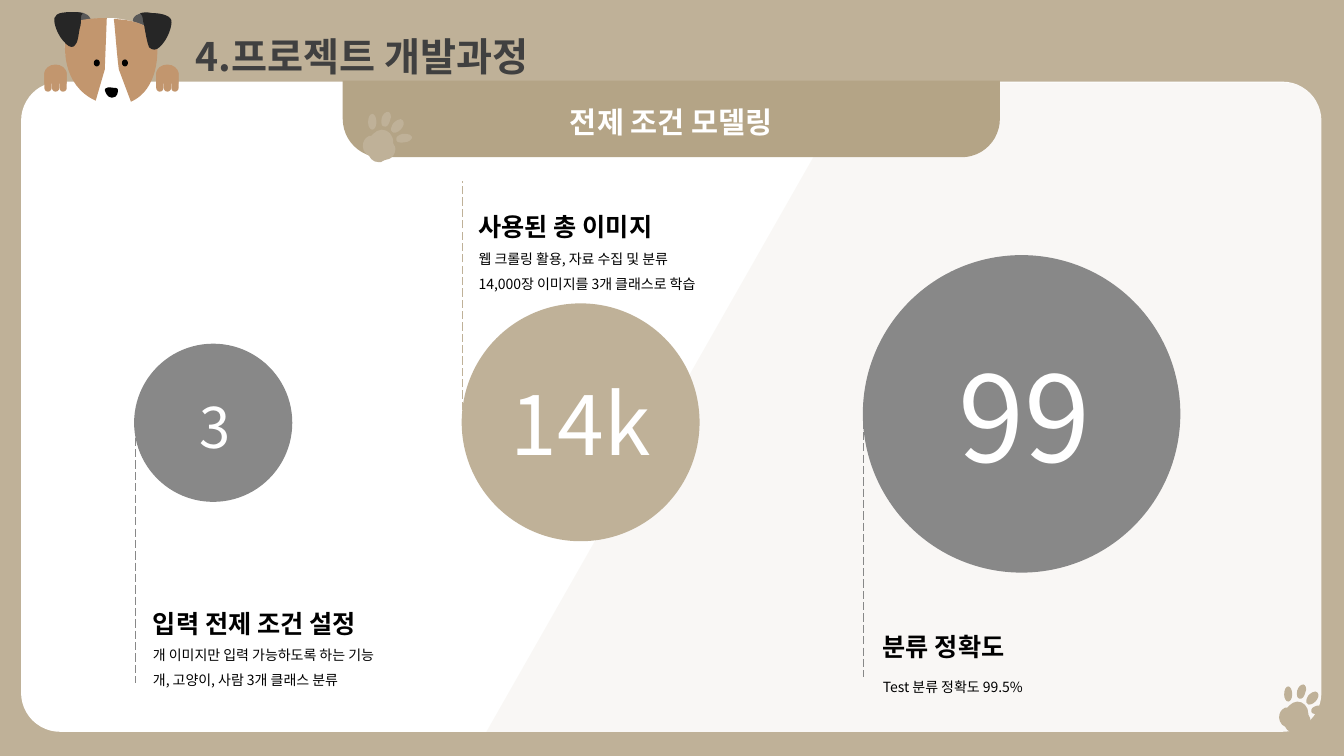
from lxml.etree import SubElement
from pptx import Presentation
from pptx.dml.color import RGBColor
from pptx.enum.dml import MSO_LINE
from pptx.enum.shapes import MSO_CONNECTOR, MSO_SHAPE
from pptx.enum.text import MSO_AUTO_SIZE, PP_ALIGN
from pptx.oxml.ns import qn
from pptx.util import Pt

FONT = "Noto Sans CJK KR"
COLORS = {
    "sand": "BFB198", "banner": "B4A486", "gray": "888888", "white": "FFFFFF",
    "black": "000000", "title": "404040", "fur": "C2966E", "ear": "262626",
    "inner_ear": "595959",
}
UNIT = 0.72  # points per outline unit

# Outlines: M = move, L = line, C = cubic curve; each part is closed
DIAGONAL = ("M 849 82 L 1274 82 C 1295 82 1312 99 1312 120 L 1312 688 "
            "C 1312 710 1295 727 1274 727 L 482 727")
PAW_PRINT = (
    "M 41 21 C 44 21 46 22 47 24 C 47 26 44 29 40 29 C 36 30 32 29 32 27 "
    "C 31 24 34 22 38 21 C 39 21 40 21 41 21 "
    "M 18 17 C 24 17 29 22 29 29 L 29 30 L 30 32 C 31 33 31 34 31 36 "
    "C 31 40 28 44 25 45 L 21 46 L 19 47 C 18 48 17 48 15 48 "
    "C 12 48 10 47 8 45 L 6 42 L 3 40 C 1 38 0 35 0 33 "
    "C 0 28 2 25 6 23 L 8 23 L 10 21 C 12 19 15 17 18 17 "
    "M 36 7 C 37 7 37 8 38 8 C 40 10 39 14 36 17 C 33 20 29 21 28 19 "
    "C 26 18 27 14 29 11 C 32 8 34 7 36 7 "
    "M 9 2 C 11 2 13 5 13 10 C 13 14 11 17 9 17 C 7 17 5 14 5 10 C 5 5 7 2 9 2 "
    "M 24 0 C 26 0 28 4 26 8 C 25 12 23 15 20 14 C 18 14 17 10 18 6 "
    "C 19 2 22 0 24 0")
DOG_PALM = ("M 11 0 C 17 0 22 4 22 9 C 22 12 22 15 22 18 L 22 19 L 0 19 "
            "L 0 9 C 0 4 5 0 11 0")
DOG_HEAD = [
    ("inner_ear", "M 167 20 C 166 14 154 13 148 13 C 143 13 135 12 132 19 "
     "C 130 27 143 44 146 47 C 148 50 153 50 155 47 C 164 39 168 25 167 20"),
    ("inner_ear", "M 57 18 C 58 13 69 12 74 12 C 80 12 87 12 90 19 "
     "C 92 26 81 42 78 45 C 76 47 72 47 69 45 C 60 36 56 23 57 18"),
    ("white", "M 65 34 C 66 20 97 18 112 18 C 127 19 152 25 155 38 "
     "C 159 51 145 88 135 98 C 124 107 97 103 90 96 C 64 73 63 47 65 34"),
    ("fur", "M 106 18 L 104 69 C 100 84 100 84 95 100 C 61 84 64 47 65 34 "
     "C 65 20 84 19 99 18 "
     "M 118 69 C 116 55 114 26 113 19 C 127 19 152 24 155 38 "
     "C 158 52 157 89 130 101"),
    ("black", "M 104 89 C 104 87 109 86 111 87 C 113 87 117 87 117 89 "
     "C 117 91 117 97 111 97 C 106 97 104 90 104 89"),
    ("ear", "M 54 18 C 55 12 66 12 71 12 C 76 12 78 12 82 13 "
     "C 79 17 81 19 80 25 C 78 30 78 41 75 44 C 73 48 69 47 66 44 "
     "C 57 36 53 23 54 18"),
    ("ear", "M 170 20 C 168 14 156 13 151 13 C 146 12 144 12 139 13 "
     "C 143 17 141 20 143 25 C 144 31 146 43 148 47 C 151 50 155 50 158 47 "
     "C 167 39 171 25 170 20"),
]

# Number, size, colour, circle (left, top, diameter), number box,
# guide (x, start, end), caption (left, top, height), lines, line spacing
METRICS = [
    ("99", 85, "gray", (616.3, 182.2, 226.8), (616.3, 238.3, 230.4, 117.4),
     (617, 292.3, 483.8), (623.5, 421.9, 70.6),
     ["분류 정확도", "Test 분류 정확도 99.5%"], 2),
    ("14k", 60, "sand", (329.8, 216.7, 169.9), (329.8, 258.5, 169.9, 87.1),
     (330.5, 301, 129.6), (334.8, 122.4, 88.6),
     ["사용된 총 이미지", "웹 크롤링 활용, 자료 수집 및 분류",
      "14,000장 이미지를 3개 클래스로 학습"], 1.5),
    ("3", 40, "gray", (95.8, 245.5, 113), (97.2, 272.9, 113, 63.4),
     (96.5, 304.6, 488.2), (102.2, 405.4, 88.6),
     ["입력 전제 조건 설정", "개 이미지만 입력 가능하도록 하는 기능",
      "개, 고양이, 사람 3개 클래스 분류"], 1.5),
]


def rgb(color):
    return RGBColor.from_string(COLORS[color])


def paint(shape, color):
    shape.shadow.inherit = False
    shape.fill.solid()
    shape.fill.fore_color.rgb = rgb(color)
    shape.line.fill.background()
    return shape


def add_preset(slide, kind, box, color, *adjustments):
    shape = slide.shapes.add_shape(kind, *map(Pt, box))
    for index, value in enumerate(adjustments):
        shape.adjustments[index] = value
    return paint(shape, color)


def bend_curves(shape, outline):
    """Merge the three segments of each C step into one cubic curve."""
    segments = iter(list(shape._element.iter(qn("a:lnTo"))))
    for command in outline.split():
        if command in ("L", "C"):
            segment = next(segments)
        if command == "C":
            segment.tag = qn("a:cubicBezTo")
            for _ in range(2):
                control = next(segments)
                segment.append(control[0])
                control.getparent().remove(control)


def add_outline(slide, outline, color, left=0, top=0, scale=1):
    parts = []
    for part in outline.split("M")[1:]:
        values = [Pt(float(word) * UNIT * scale) for word in part.split() if word not in "LC"]
        parts.append(list(zip(values[::2], values[1::2])))
    builder = slide.shapes.build_freeform(*parts[0][0], scale=1.0)
    for index, part in enumerate(parts):
        if index:
            builder.move_to(*part[0])
        builder.add_line_segments(part[1:], close=True)
    shape = builder.convert_to_shape(Pt(left), Pt(top))
    bend_curves(shape, outline)
    return paint(shape, color)


def add_text(slide, box, lines, sizes, color, bolds, align=PP_ALIGN.LEFT,
             spacings=(None,), inset=7.2, grow=False):
    frame = slide.shapes.add_textbox(*map(Pt, box)).text_frame
    frame.word_wrap = True
    frame.margin_left = frame.margin_right = Pt(7.2)
    frame.margin_top = frame.margin_bottom = Pt(inset)
    if grow:
        frame.auto_size = MSO_AUTO_SIZE.SHAPE_TO_FIT_TEXT
    frame.text = "\n".join(lines)
    for paragraph, size, bold, spacing in zip(frame.paragraphs, sizes, bolds, spacings):
        paragraph.alignment = align
        paragraph.line_spacing = spacing
        for run in paragraph.runs:
            run.font.size = Pt(size)
            run.font.bold = bold
            run.font.color.rgb = rgb(color)
            run.font.name = FONT
            SubElement(run._r.get_or_add_rPr(), qn("a:ea"), typeface=FONT)


def add_guide(slide, x, start, end, color):
    guide = slide.shapes.add_connector(MSO_CONNECTOR.STRAIGHT, Pt(x), Pt(start), Pt(x), Pt(end))
    guide.line.color.rgb = rgb(color)
    guide.line.width = Pt(0.75)
    guide.line.dash_style = MSO_LINE.LONG_DASH
    SubElement(guide._element.spPr, qn("a:effectLst"))


def add_dog_paw(slide, left, top=46.1):
    for toe in range(3):
        add_preset(slide, MSO_SHAPE.ROUNDED_RECTANGLE,
                   (left + toe * 5.4, top + 3.6, 5.2, 15.8), "fur", 0.5)
    add_outline(slide, DOG_PALM, "fur", left, top)


def add_metric(slide, number, size, color, circle, number_box, guide, caption, lines, spacing):
    left, top, diameter = circle
    add_preset(slide, MSO_SHAPE.OVAL, (left, top, diameter, diameter), color)
    add_text(slide, number_box, [number], [size], "white", [False], PP_ALIGN.CENTER, grow=True)
    add_guide(slide, *guide, color)
    x, y, height = caption
    add_text(slide, (x, y, 276.5, height), lines, [18, 10, 10], "black",
             [True, False, False], spacings=[2.0, float(spacing), float(spacing)])


def main():
    deck = Presentation()
    deck.slide_width, deck.slide_height = Pt(960), Pt(540)
    slide = deck.slides.add_slide(deck.slide_layouts[6])
    slide.background.fill.solid()
    slide.background.fill.fore_color.rgb = rgb("sand")

    # Panel with its tinted diagonal half, and the banner
    add_preset(slide, MSO_SHAPE.ROUNDED_RECTANGLE, (15.1, 58.3, 928.8, 464.4), "white", 0.06)
    diagonal = add_outline(slide, DIAGONAL, "sand")
    tint = diagonal._element.spPr.find(qn("a:solidFill"))[0]
    SubElement(tint, qn("a:alpha"), val="9000")
    banner = add_preset(slide, MSO_SHAPE.ROUND_2_SAME_RECTANGLE,
                        (244.8, 57.6, 469.4, 54.7), "banner", 0.5, 0)
    banner.rotation = 180

    # Dog peeking over the panel
    add_dog_paw(slide, 111.6)
    for color, outline in DOG_HEAD:
        add_outline(slide, outline, color)
    for eye_left in (67, 87.1):
        add_preset(slide, MSO_SHAPE.OVAL, (eye_left, 42.5, 4.3, 5), "black")
    add_dog_paw(slide, 31.7)

    # Paw prints in the corner and on the banner
    add_outline(slide, PAW_PRINT, "sand", 913.7, 488.9)
    add_outline(slide, PAW_PRINT, "sand", 259.2, 79.9, scale=1.04)

    # Headings
    add_text(slide, (132.5, 19.4, 517.7, 41), ["4.프로젝트 개발과정"], [28], "title", [True],
             inset=3.6, grow=True)
    add_text(slide, (305.3, 70.6, 348.5, 32.4), ["전제 조건 모델링"], [21], "white", [True],
             PP_ALIGN.CENTER, inset=3.6)

    # Circles with their captions
    for metric in METRICS:
        add_metric(slide, *metric)
    deck.save("out.pptx")


if __name__ == "__main__":
    main()
